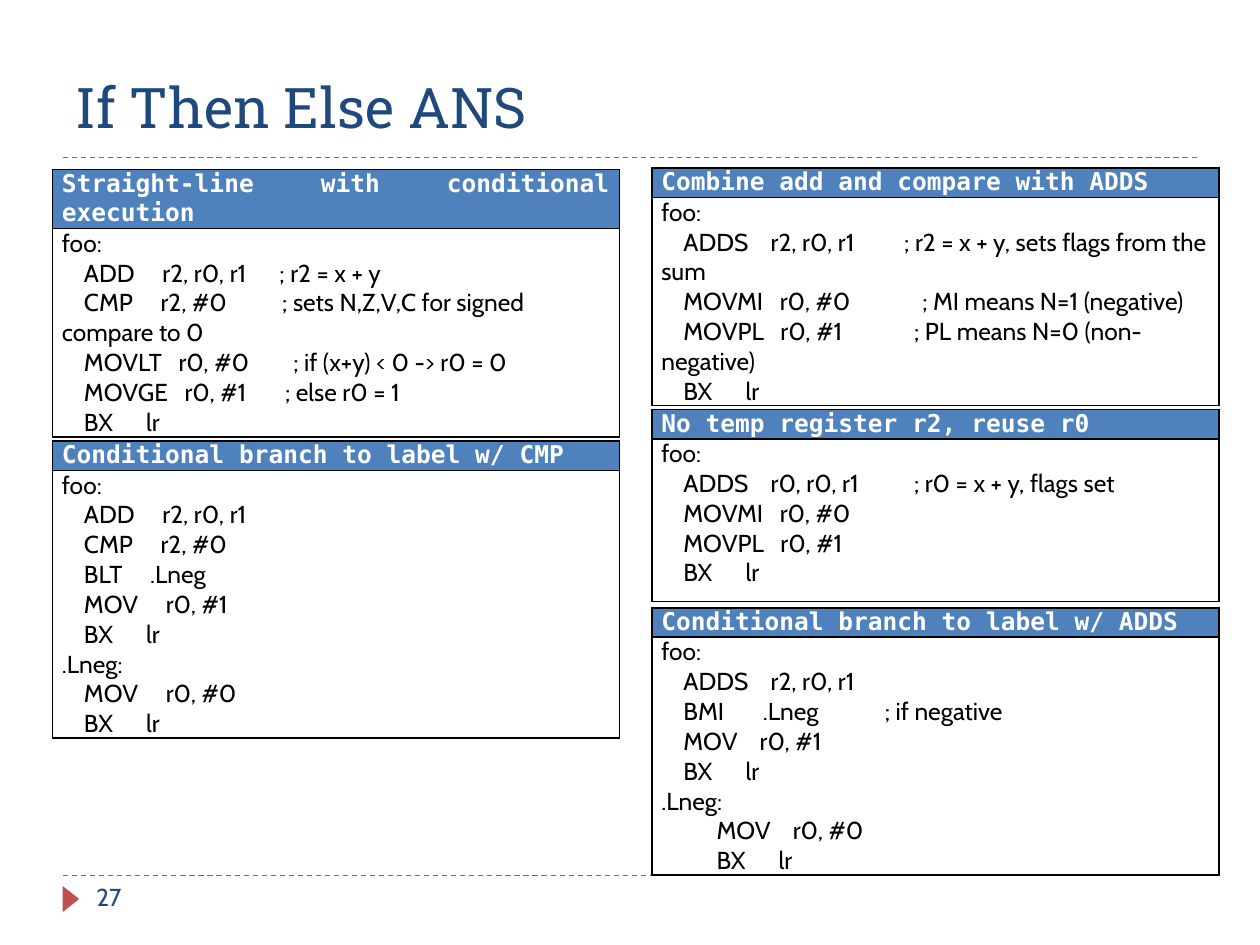
import pptx
import pptx.util
import pptx.dml.color
import pptx.enum.dml
import pptx.enum.shapes
import pptx.enum.text
import pptx.oxml
import pptx.oxml.ns

Pt = pptx.util.Pt
Align = pptx.enum.text.PP_ALIGN
Anchor = pptx.enum.text.MSO_ANCHOR
Kind = pptx.enum.shapes.MSO_SHAPE
Link = pptx.enum.shapes.MSO_CONNECTOR
qn = pptx.oxml.ns.qn

# Content
TITLE = "If Then Else ANS"
PAGE = "27"
NAVY, RED, BLUE, BLACK, WHITE = "1F497D", "C0504D", "4F81BD", "000000", "FFFFFF"
LEFT, RIGHT, WIDE = 30, 372.5, 324

# Each panel: left, top, header height, body height, header, code paragraphs
PANELS = [
    (LEFT, 97, 33.2, 119, "Straight-line with conditional execution", [
        "foo:\n"
        "    ADD     r2, r0, r1      ; r2 = x + y\n"
        "    CMP     r2, #0          ; sets N,Z,V,C for signed compare to 0\n"
        "    MOVLT   r0, #0        ; if (x+y) < 0 -> r0 = 0\n"
        "    MOVGE   r0, #1       ; else r0 = 1\n"
        "    BX      lr"]),
    (LEFT, 252, 16.6, 153, "Conditional branch to label w/ CMP", [
        "foo:\n"
        "    ADD     r2, r0, r1\n"
        "    CMP     r2, #0\n"
        "    BLT     .Lneg\n"
        "    MOV     r0, #1\n"
        "    BX      lr\n"
        ".Lneg:\n"
        "    MOV     r0, #0\n"
        "    BX      lr"]),
    (RIGHT, 96, 16.6, 119, "Combine add and compare with ADDS", [
        "foo:\n"
        "    ADDS    r2, r0, r1         ; r2 = x + y, sets flags from the sum\n"
        "    MOVMI   r0, #0             ; MI means N=1 (negative)\n"
        "    MOVPL   r0, #1             ; PL means N=0 (non-negative)\n"
        "    BX      lr"]),
    (RIGHT, 234, 16.6, 92.8, "No temp register r2, reuse r0", [
        "foo:\n"
        "    ADDS    r0, r0, r1          ; r0 = x + y, flags set\n"
        "    MOVMI   r0, #0\n"
        "    MOVPL   r0, #1\n"
        "    BX      lr"]),
    (RIGHT, 347.3, 16.6, 136, "Conditional branch to label w/ ADDS", [
        "foo:\n"
        "    ADDS    r2, r0, r1\n"
        "    BMI       .Lneg            ; if negative\n"
        "    MOV    r0, #1\n"
        "    BX      lr\n"
        ".Lneg:",
        "          MOV    r0, #0\n"
        "          BX      lr"]),
]


def paint(hue):
    return pptx.dml.color.RGBColor.from_string(hue)


def write(frame, paras, font="Cabin", size=14, hue=BLACK, bold=False,
          align=Align.LEFT):
    frame.word_wrap = True
    for i, text in enumerate(paras):
        para = frame.paragraphs[0] if i == 0 else frame.add_paragraph()
        para.text = text
        para.alignment = align
        for run in para.runs:
            run.font.name, run.font.size = font, Pt(size)
            run.font.bold = bold
            run.font.color.rgb = paint(hue)
        # Line breaks need the size too, to keep the line height
        for br in para._p.findall(qn("a:br")):
            mark = pptx.oxml.parse_xml(
                f'<a:rPr {pptx.oxml.ns.nsdecls("a")} sz="{size * 100}"/>')
            br.append(mark)


def box(slide, area, text, anchor, **form):
    shape = slide.shapes.add_textbox(*map(Pt, area))
    shape.text_frame.vertical_anchor = anchor
    write(shape.text_frame, [text], **form)


def rule(slide, y):
    line = slide.shapes.add_connector(Link.STRAIGHT, Pt(36), Pt(y), Pt(684), Pt(y))
    line.line.color.rgb = paint(RED)
    line.line.width = Pt(0.75)
    line.line.dash_style = pptx.enum.dml.MSO_LINE.DASH
    line._element.spPr.append(pptx.oxml.parse_xml(
        f'<a:effectLst {pptx.oxml.ns.nsdecls("a")}/>'))


def edge(cell):
    # Borders come before the fill in a cell's properties
    props = cell._tc.get_or_add_tcPr()
    for i, side in enumerate(("lnL", "lnR", "lnT", "lnB")):
        props.insert(i, pptx.oxml.parse_xml(
            f'<a:{side} {pptx.oxml.ns.nsdecls("a")} w="12700"><a:solidFill>'
            f'<a:srgbClr val="{BLACK}"/></a:solidFill></a:{side}>'))


def panel(slide, x, y, head, body, name, code):
    table = slide.shapes.add_table(
        2, 1, Pt(x), Pt(y), Pt(WIDE), Pt(head + body)).table
    table.horz_banding = False
    table.rows[0].height, table.rows[1].height = Pt(head), Pt(body)
    top, base = table.cell(0, 0), table.cell(1, 0)
    for cell, fill in ((top, BLUE), (base, WHITE)):
        cell.margin_left = cell.margin_right = Pt(5.4)
        cell.margin_top = cell.margin_bottom = 0
        cell.fill.solid()
        cell.fill.fore_color.rgb = paint(fill)
        edge(cell)
    base.fill.background()
    write(top.text_frame, [name], font="DejaVu Sans Mono", hue=WHITE, bold=True,
          align=Align.JUSTIFY)
    write(base.text_frame, code)


def main():
    deck = pptx.Presentation()
    deck.slide_width, deck.slide_height = Pt(720), Pt(540)
    slide = deck.slides.add_slide(deck.slide_layouts[6])

    # Rules and page marker
    for y in (500.4, 90):
        rule(slide, y)
    mark = slide.shapes.add_shape(
        Kind.ISOSCELES_TRIANGLE, Pt(33), Pt(509), Pt(15), Pt(9.5))
    mark.rotation = 90
    mark.shadow.inherit = False
    mark.fill.solid()
    mark.fill.fore_color.rgb = paint(RED)
    mark.line.fill.background()

    # Title and page number
    box(slide, (36, 10.8, 648, 72.7), TITLE, Anchor.BOTTOM,
        font="Roboto Slab", size=32, hue=NAVY)
    box(slide, (48, 500.4, 156, 28.8), PAGE, Anchor.TOP, hue=NAVY)

    # Code panels
    for item in PANELS:
        panel(slide, *item)
    deck.save("out.pptx")


if __name__ == "__main__":
    main()
